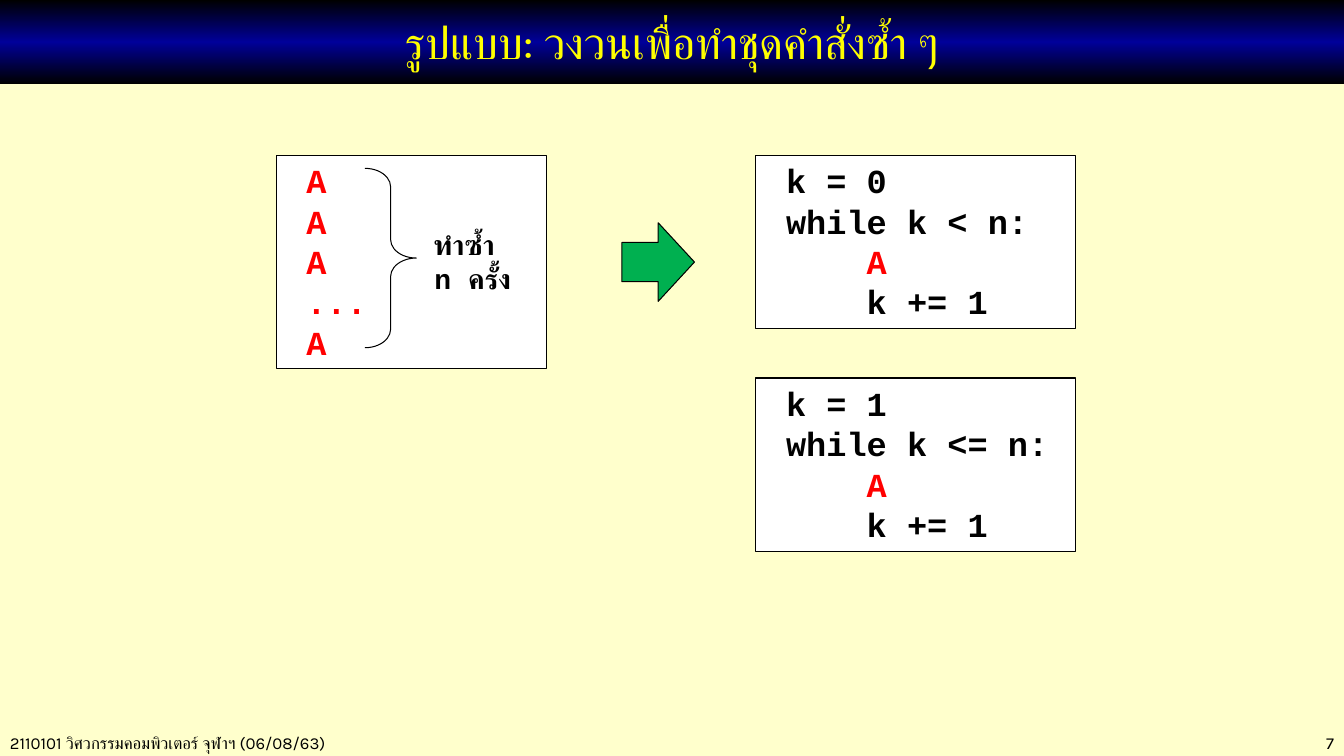
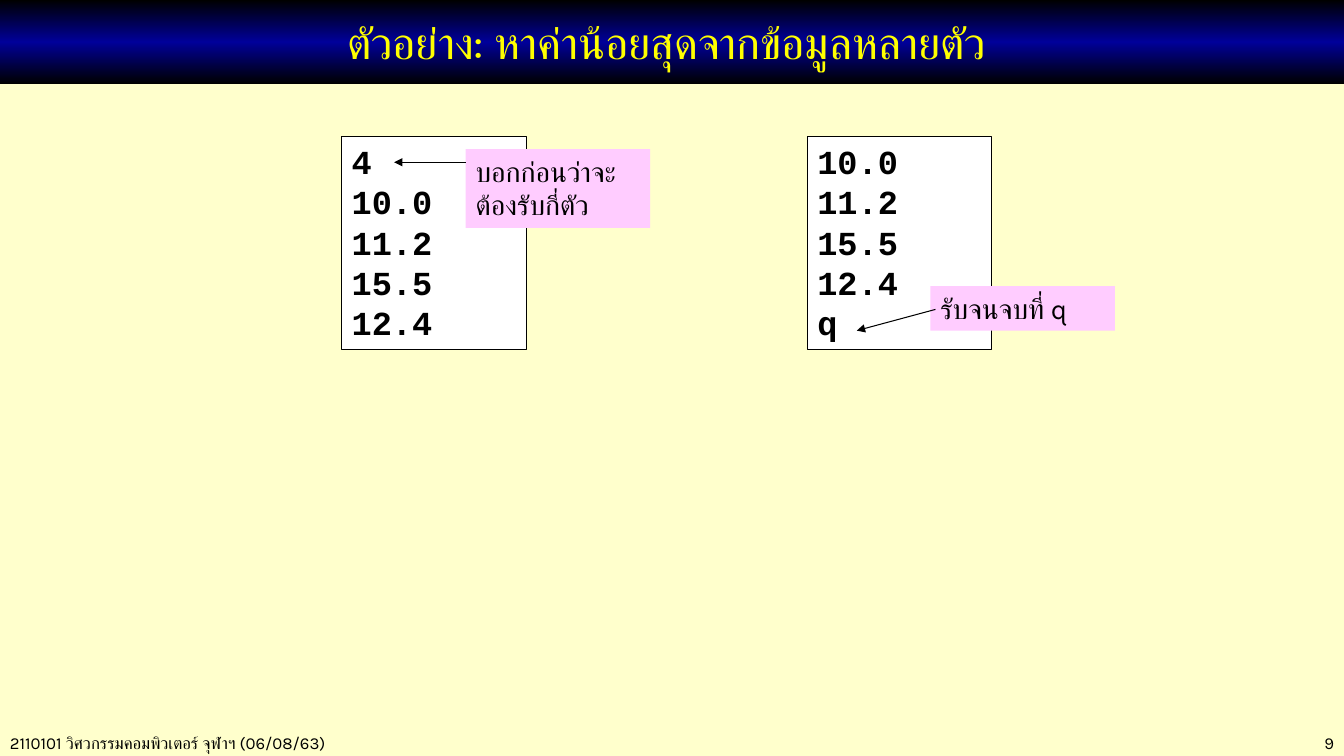
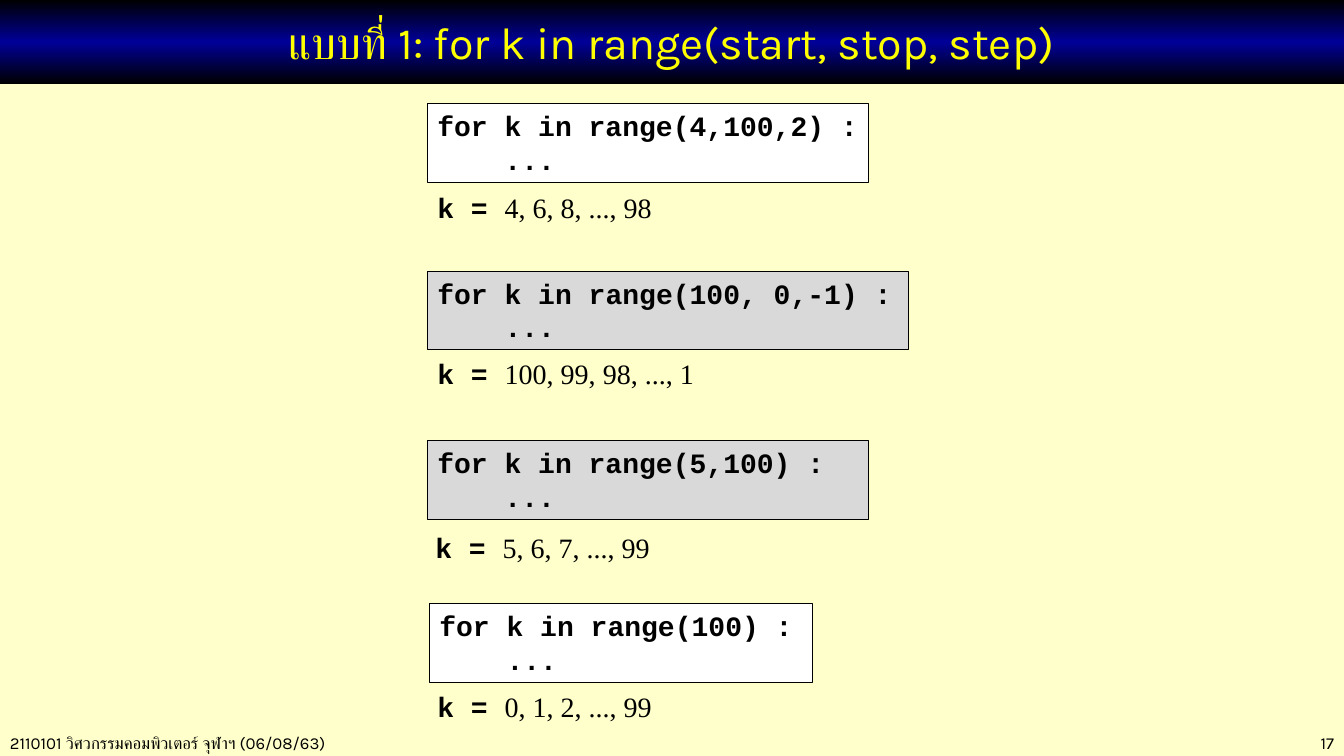
from copy import deepcopy

from lxml import etree
from pptx import Presentation
from pptx.dml.color import RGBColor
from pptx.enum.shapes import MSO_CONNECTOR, MSO_SHAPE
from pptx.enum.text import MSO_ANCHOR, MSO_AUTO_SIZE, PP_ALIGN
from pptx.oxml.ns import qn
from pptx.util import Inches, Pt

RECTANGLE = MSO_SHAPE.RECTANGLE
RIGHT_BRACE = MSO_SHAPE.RIGHT_BRACE
RIGHT_ARROW = MSO_SHAPE.RIGHT_ARROW
STRAIGHT = MSO_CONNECTOR.STRAIGHT
TOP, MIDDLE = MSO_ANCHOR.TOP, MSO_ANCHOR.MIDDLE
GROW = MSO_AUTO_SIZE.SHAPE_TO_FIT_TEXT
LEFT, CENTER, RIGHT = PP_ALIGN.LEFT, PP_ALIGN.CENTER, PP_ALIGN.RIGHT

COLORS = {
    "page": "FFFFCC",
    "black": "000000",
    "navy": "000099",
    "title": "FFFF00",
    "white": "FFFFFF",
    "gray": "D9D9D9",
    "red": "FF0000",
    "green": "00B050",
    "pink": "FFCCFF",
}
SANS, MONO, SERIF = "Karla", "Courier New", "Times New Roman"
MONO_ADVANCE = 0.6
LINE_WIDTH = Pt(0.75)

SLIDE_WIDTH, SLIDE_HEIGHT = Inches(13.33), Inches(7.5)
COLUMNS, ROWS = 40, 30
FOOTER = "2110101 วิศวกรรมคอมพิวเตอร์ จุฬาฯ (06/08/63)"


def color(name):
    return RGBColor.from_string(COLORS[name])


def col(count):
    return round(SLIDE_WIDTH * count / COLUMNS)


def row(count):
    return round(SLIDE_HEIGHT * count / ROWS)


def area(left, top, width, height):
    return col(left), row(top), col(width), row(height)


def set_font(font, size, name=SANS, ink="black", bold=False):
    font.size = Pt(size)
    font.bold = bold
    font.name = name
    font.color.rgb = color(ink)
    etree.SubElement(font._element, qn("a:cs")).set("typeface", name)


def prepare_frame(shape, anchor=TOP, wrap=True):
    frame = shape.text_frame
    frame.word_wrap = wrap
    frame.auto_size = GROW
    frame.vertical_anchor = anchor
    return frame


def add_figure(page, kind, place, fill=None, outlined=True):
    shape = page.shapes.add_shape(kind, *place)
    shape.shadow.inherit = False
    if fill:
        shape.fill.solid()
        shape.fill.fore_color.rgb = color(fill)
    else:
        shape.fill.background()
    if outlined:
        shape.line.color.rgb = color("black")
        shape.line.width = LINE_WIDTH
    else:
        shape.line.fill.background()
    return shape


def add_code(page, place, lines, size, fill="white"):
    frame = prepare_frame(add_figure(page, RECTANGLE, place, fill))
    for index, (indent, text, ink) in enumerate(lines):
        para = frame.add_paragraph() if index else frame.paragraphs[0]
        para.text = text
        para.alignment = LEFT
        margin = Pt(indent * size * MONO_ADVANCE)
        para._p.get_or_add_pPr().set("marL", str(margin))
        set_font(para.font, size, MONO, ink, True)


def add_label(page, place, text, size, name=SANS, bold=False, align=LEFT):
    frame = prepare_frame(page.shapes.add_textbox(*place))
    para = frame.paragraphs[0]
    para.text = text
    para.alignment = align
    set_font(para.font, size, name, bold=bold)


def add_note(page, place, text):
    box = add_figure(page, RECTANGLE, place, "pink", outlined=False)
    para = prepare_frame(box).paragraphs[0]
    para.text = text
    para.alignment = LEFT
    set_font(para.font, 20)


def add_pointer(page, start, end):
    pointer = page.shapes.add_connector(
        STRAIGHT, col(start[0]), row(start[1]), col(end[0]), row(end[1])
    )
    pointer.line.color.rgb = color("black")
    pointer.line.width = LINE_WIDTH
    line = pointer.line._get_or_add_ln()
    etree.SubElement(line, qn("a:tailEnd")).set("type", "triangle")
    etree.SubElement(pointer._element.spPr, qn("a:effectLst"))


def add_result(page, place, values):
    frame = prepare_frame(page.shapes.add_textbox(*place), wrap=False)
    para = frame.paragraphs[0]
    for text, name, bold in (("k = ", MONO, True), (values, SERIF, False)):
        span = para.add_run()
        span.text = text
        set_font(span.font, 20, name, bold=bold)


def fill_title_band(title):
    title.fill.gradient()
    title.fill.gradient_angle = 90
    stop_list = title._element.spPr.find(".//" + qn("a:gsLst"))
    stop_list.append(deepcopy(stop_list[-1]))
    bands = ((0, "black"), (0.5, "navy"), (1, "black"))
    for stop, (position, name) in zip(title.fill.gradient_stops, bands):
        stop.position = position
        stop.color.rgb = color(name)


def add_page(deck, heading, number):
    page = deck.slides.add_slide(deck.slide_layouts[5])
    page.background.fill.solid()
    page.background.fill.fore_color.rgb = color("page")
    title = page.shapes.title
    title.left, title.top, title.width, title.height = area(0, 0, COLUMNS, 3.33)
    fill_title_band(title)
    frame = title.text_frame
    frame.auto_size = MSO_AUTO_SIZE.NONE
    frame.vertical_anchor = MIDDLE
    para = frame.paragraphs[0]
    para.text = heading
    para.alignment = CENTER
    set_font(para.font, 32, ink="title")
    add_label(page, area(0, 28.88, 15.6, 1.2), FOOTER, 12)
    add_label(page, area(34.5, 28.88, 5.5, 1.2), str(number), 12, align=RIGHT)
    return page


def build_loop_pattern(deck):
    page = add_page(deck, "รูปแบบ: วงวนเพื่อทำชุดคำสั่งซ้ำ ๆ", 7)
    top, gap = 6.16, 1.96
    repeated = [(1, text, "red") for text in ("A", "A", "A", "...", "A")]
    add_code(page, area(8.22, top, 8.04, 8.48), repeated, 24)
    brace = add_figure(page, RIGHT_BRACE, area(10.86, 6.68, 1.53, 7.12))
    brace.adjustments[0] = 0.36
    brace.adjustments[1] = 0.5
    add_label(page, area(12.39, 8.84, 3.36, 3.12), "ทำซ้ำ \vn ครั้ง", 20,
              MONO, True, CENTER)
    add_figure(page, RIGHT_ARROW, area(18.51, 8.84, 2.16, 3.12), "green")
    height = 6.88
    loops = (("k = 0", "while k < n:"), ("k = 1", "while k <= n:"))
    for index, (start, condition) in enumerate(loops):
        lines = [
            (1, start, "black"),
            (1, condition, "black"),
            (5, "A", "red"),
            (5, "k += 1", "black"),
        ]
        place = area(22.5, top + index * (height + gap), 9.51, height)
        add_code(page, place, lines, 24)


def build_minimum_example(deck):
    page = add_page(deck, "ตัวอย่าง: หาค่าน้อยสุดจากข้อมูลหลายตัว ", 9)
    numbers = ["10.0", "11.2", "15.5", "12.4"]
    width = 5.49
    for left, inputs in ((10.17, ["4"] + numbers), (24.03, numbers + ["q"])):
        lines = [(0, text, "black") for text in inputs]
        add_code(page, area(left, 5.4, width, 8.48), lines, 24)
    add_note(page, area(13.86, 5.92, width, 3.12), "บอกก่อนว่าจะต้องรับกี่ตัว")
    add_pointer(page, (13.86, 6.44), (11.73, 6.44))
    add_note(page, area(27.69, 11.36, width, 1.76), "รับจนจบที่ q")
    add_pointer(page, (27.84, 12.28), (25.5, 13.12))


def build_range_forms(deck):
    page = add_page(deck, "แบบที่ 1: for k in range(start, stop, step)", 17)
    forms = (
        ("4,100,2", "4, 6, 8, ..., 98", "white",
         (12.72, 4.12, 13.14), (12.72, 7.36, 7.02)),
        ("100, 0,-1", "100, 99, 98, ..., 1", "gray",
         (12.72, 10.76, 14.31), (12.72, 13.96, 8.31)),
        ("5,100", "5, 6, 7, ..., 99", "gray",
         (12.72, 17.48, 13.14), (12.66, 20.84, 7.02)),
        ("100", "0, 1, 2, ..., 99", "white",
         (12.78, 23.96, 11.4), (12.72, 27.16, 7.02)),
    )
    for arguments, values, fill, code_place, result_place in forms:
        lines = [
            (0, f"for k in range({arguments}) :", "black"),
            (4, "...", "black"),
        ]
        add_code(page, area(*code_place, 3.12), lines, 20, fill)
        add_result(page, area(*result_place, 1.76), values)


def main():
    deck = Presentation()
    deck.slide_width, deck.slide_height = SLIDE_WIDTH, SLIDE_HEIGHT
    build_loop_pattern(deck)
    build_minimum_example(deck)
    build_range_forms(deck)
    deck.save("out.pptx")


if __name__ == "__main__":
    main()
